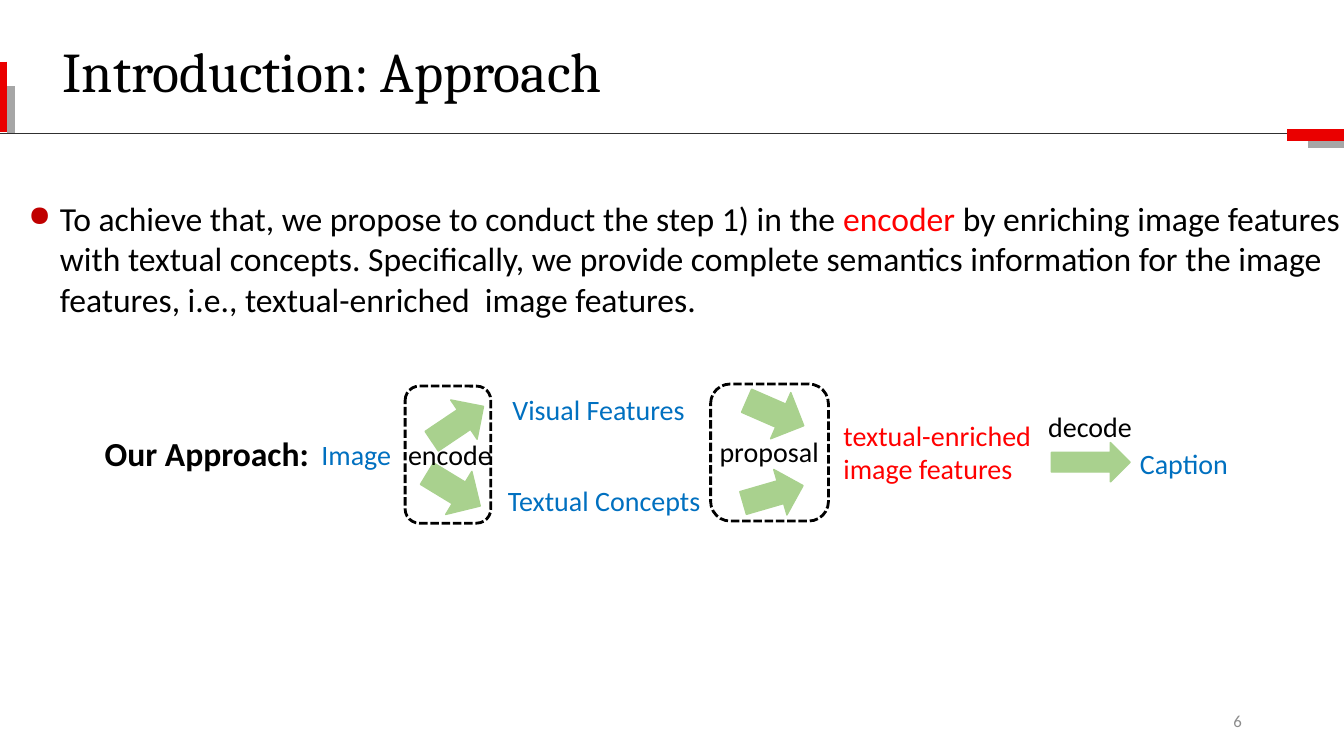
from dataclasses import dataclass

from lxml.etree import SubElement
from pptx import Presentation
from pptx.dml.color import RGBColor
from pptx.enum.dml import MSO_LINE
from pptx.enum.shapes import MSO_CONNECTOR, MSO_SHAPE
from pptx.enum.text import MSO_ANCHOR, MSO_AUTO_SIZE, PP_ALIGN
from pptx.oxml.ns import qn
from pptx.util import Pt

BLACK = RGBColor(0x00, 0x00, 0x00)
CHARCOAL = RGBColor(0x30, 0x30, 0x30)
GRAY = RGBColor(0xA6, 0xA6, 0xA6)
NUMBER_GRAY = RGBColor(0x8C, 0x8C, 0x8C)
BAR_RED = RGBColor(0xEA, 0x00, 0x00)
BULLET_RED = RGBColor(0xC0, 0x00, 0x00)
RED = RGBColor(0xFF, 0x00, 0x00)
BLUE = RGBColor(0x00, 0x70, 0xC0)
GREEN = RGBColor(0xA9, 0xD1, 0x8E)


@dataclass
class Box:
    left: float
    top: float
    width: float
    height: float

    def lengths(self) -> list:
        return [Pt(v) for v in (self.left, self.top, self.width, self.height)]


@dataclass
class Rule:
    start: tuple
    end: tuple
    color: RGBColor
    weight: float


@dataclass
class Label:
    box: Box
    lines: list  # each line is a list of (text, color) runs
    size: float = 20
    font: str = "Calibri"
    bold: bool = False
    align: PP_ALIGN = PP_ALIGN.LEFT
    anchor: MSO_ANCHOR = MSO_ANCHOR.TOP
    insets: tuple = (7.2, 3.6, 7.2, 3.6)
    wrap: bool = True
    grow: bool = True


@dataclass
class Arrow:
    box: Box
    rotation: float = 0


HEADER_RULES = [
    Rule((0, 95.5), (960, 95.5), CHARCOAL, 0.75),
    Rule((2.3, 44), (2.3, 94.3), BAR_RED, 5.5),
    Rule((7.9, 61.5), (7.9, 95), GRAY, 5.5),
    Rule((934.6, 103), (960, 103), GRAY, 5),
    Rule((919.4, 96.5), (960, 96.5), BAR_RED, 8.5),
]

TITLE = Label(Box(41.8, 16.6, 851.8, 72.7), [[("Introduction: Approach", BLACK)]],
              size=40, font="Cambria", anchor=MSO_ANCHOR.MIDDLE,
              insets=(3, 3, 3, 3), grow=False)
PAGE_NUMBER = Label(Box(678.2, 500.4, 216, 28.8), [[("6", NUMBER_GRAY)]], size=12,
                    align=PP_ALIGN.RIGHT, anchor=MSO_ANCHOR.MIDDLE, grow=False)
PROPOSAL_TEXT = Label(Box(17.3, 135.4, 942.7, 104.4), [[
    ("To achieve that, we propose to conduct the step 1) in the ", BLACK),
    ("encoder", RED),
    (" by enriching image features with textual concepts. Specifically, we provide "
     "complete semantics information for the image features, i.e., "
     "textual-enriched  image features.", BLACK),
]], size=24, insets=(3, 6, 2.5, 3), grow=False)

PIPELINE_LABELS = [
    Label(Box(67.7, 306, 162, 36), [[("Our Approach:", BLACK)]], size=24,
          bold=True, wrap=False),
    Label(Box(222.5, 308.9, 160.6, 31.7), [[("Image", BLUE)]]),
    Label(Box(352, 276.5, 151.2, 31.7), [[("Visual Features", BLUE)]],
          align=PP_ALIGN.CENTER),
    Label(Box(352, 342, 159.1, 31.7), [[("Textual Concepts", BLUE)]],
          align=PP_ALIGN.CENTER),
    Label(Box(284.4, 308.9, 84.2, 31.7), [[("encode", BLACK)]]),
    Label(Box(506.9, 306.7, 105.8, 31.7), [[("proposal", BLACK)]]),
    Label(Box(595.4, 295.2, 164.2, 55.4),
          [[("textual-enriched", RED)], [("image features", RED)]]),
    Label(Box(807.1, 315.4, 124.6, 31.7), [[("Caption", BLUE)]]),
    Label(Box(741.6, 288.7, 105.8, 31.7), [[("decode", BLACK)]]),
]

PIPELINE_ARROWS = [
    Arrow(Box(301.7, 331.9, 44.6, 36), 31.3),
    Arrow(Box(304.6, 285.8, 44.6, 33.8), 326.1),
    Arrow(Box(531.4, 277.2, 44.6, 36), 23.6),
    Arrow(Box(529.9, 336.2, 44.6, 33.8), 343.8),
    Arrow(Box(751, 316.1, 56.2, 28.1)),
]

STAGE_FRAMES = [Box(289.4, 275.8, 61.2, 97.9), Box(507.6, 274.3, 84.2, 97.9)]


def draw_rule(shapes, rule: Rule) -> None:
    ends = [Pt(v) for v in (*rule.start, *rule.end)]
    connector = shapes.add_connector(MSO_CONNECTOR.STRAIGHT, *ends)
    connector.line.color.rgb = rule.color
    connector.line.width = Pt(rule.weight)
    SubElement(connector._element.spPr, qn("a:effectLst"))


def draw_label(shapes, label: Label):
    frame = shapes.add_textbox(*label.box.lengths()).text_frame
    left, top, right, bottom = (Pt(v) for v in label.insets)
    frame_format = {
        "margin_left": left, "margin_top": top,
        "margin_right": right, "margin_bottom": bottom,
        "word_wrap": label.wrap, "vertical_anchor": label.anchor,
        "auto_size": MSO_AUTO_SIZE.SHAPE_TO_FIT_TEXT if label.grow else MSO_AUTO_SIZE.NONE,
    }
    for name, value in frame_format.items():
        setattr(frame, name, value)
    font_format = {"name": label.font, "size": Pt(label.size), "bold": label.bold}
    for index, runs in enumerate(label.lines):
        paragraph = frame.add_paragraph() if index else frame.paragraphs[0]
        paragraph.alignment = label.align
        for text, color in runs:
            run = paragraph.add_run()
            run.text = text
            run.font.color.rgb = color
            for name, value in font_format.items():
                setattr(run.font, name, value)
    return frame


def add_bullet(paragraph, indent: float) -> None:
    paragraph.space_before = Pt(6)
    properties = paragraph._p.get_or_add_pPr()
    properties.set("marL", str(Pt(indent)))
    properties.set("indent", str(-Pt(indent)))
    bullet_color = SubElement(properties, qn("a:buClr"))
    SubElement(bullet_color, qn("a:srgbClr"), val=str(BULLET_RED))
    SubElement(properties, qn("a:buSzPct"), val="85000")
    SubElement(properties, qn("a:buChar"), char="●")


def draw_arrow(shapes, arrow: Arrow) -> None:
    shape = shapes.add_shape(MSO_SHAPE.RIGHT_ARROW, *arrow.box.lengths())
    shape.rotation = arrow.rotation
    shape.shadow.inherit = False
    shape.fill.solid()
    shape.fill.fore_color.rgb = GREEN
    shape.line.color.rgb = GREEN
    shape.line.width = Pt(1)


def draw_stage_frame(shapes, box: Box) -> None:
    shape = shapes.add_shape(MSO_SHAPE.ROUNDED_RECTANGLE, *box.lengths())
    shape.shadow.inherit = False
    shape.fill.background()
    shape.line.color.rgb = BLACK
    shape.line.width = Pt(2)
    shape.line.dash_style = MSO_LINE.SQUARE_DOT


def main() -> None:
    deck = Presentation()
    deck.slide_width, deck.slide_height = Pt(960), Pt(540)
    shapes = deck.slides.add_slide(deck.slide_layouts[6]).shapes

    # Header
    for rule in HEADER_RULES:
        draw_rule(shapes, rule)
    draw_label(shapes, TITLE).paragraphs[0].line_spacing = 0.9
    draw_label(shapes, PAGE_NUMBER)

    # Bulleted statement
    add_bullet(draw_label(shapes, PROPOSAL_TEXT).paragraphs[0], 22.5)

    # Pipeline from image to caption
    for arrow in PIPELINE_ARROWS:
        draw_arrow(shapes, arrow)
    for stage in STAGE_FRAMES:
        draw_stage_frame(shapes, stage)
    for label in PIPELINE_LABELS:
        draw_label(shapes, label)

    deck.save("out.pptx")


if __name__ == "__main__":
    main()
